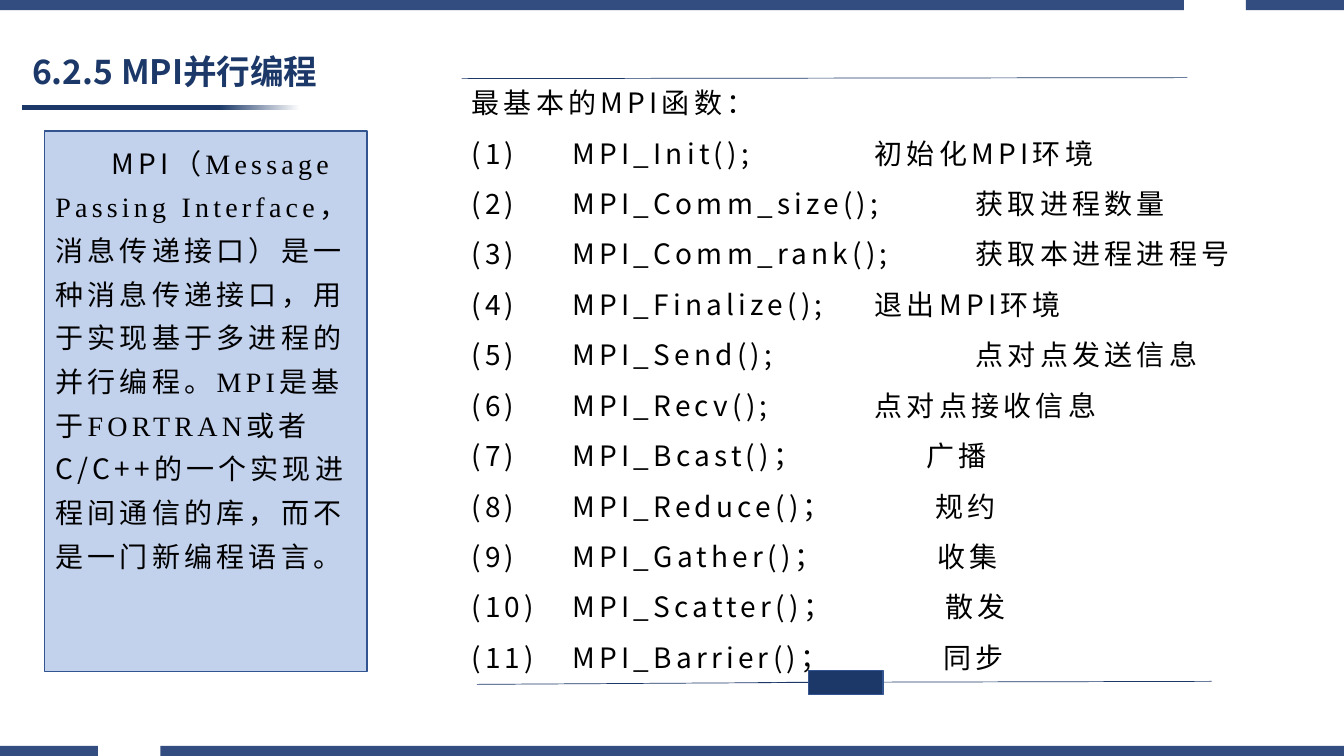
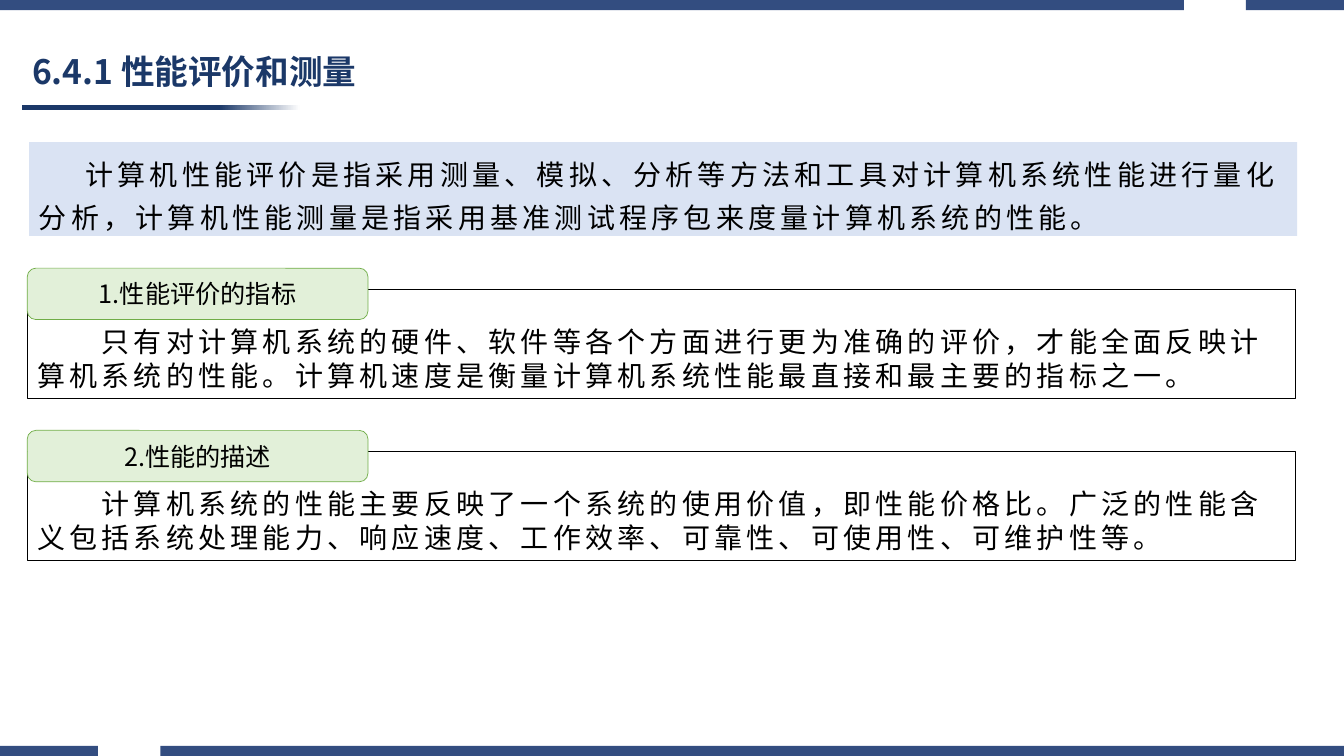
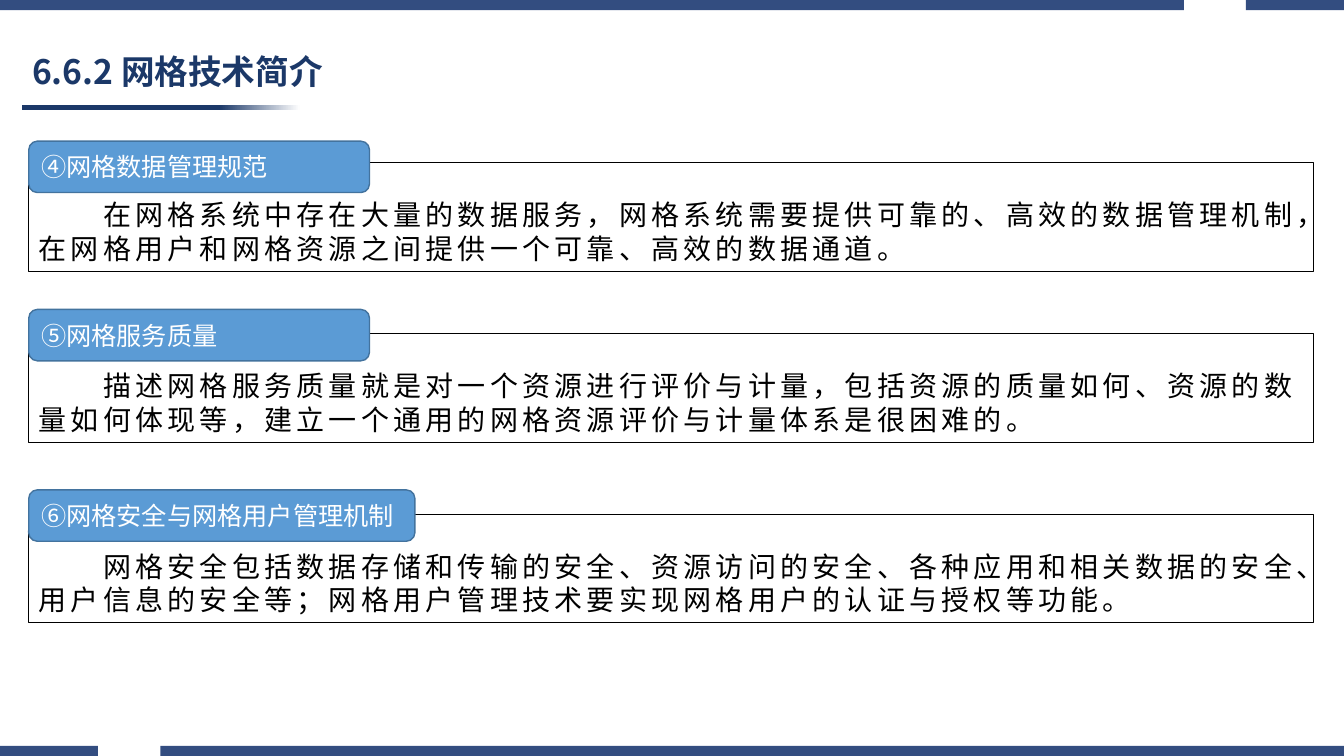
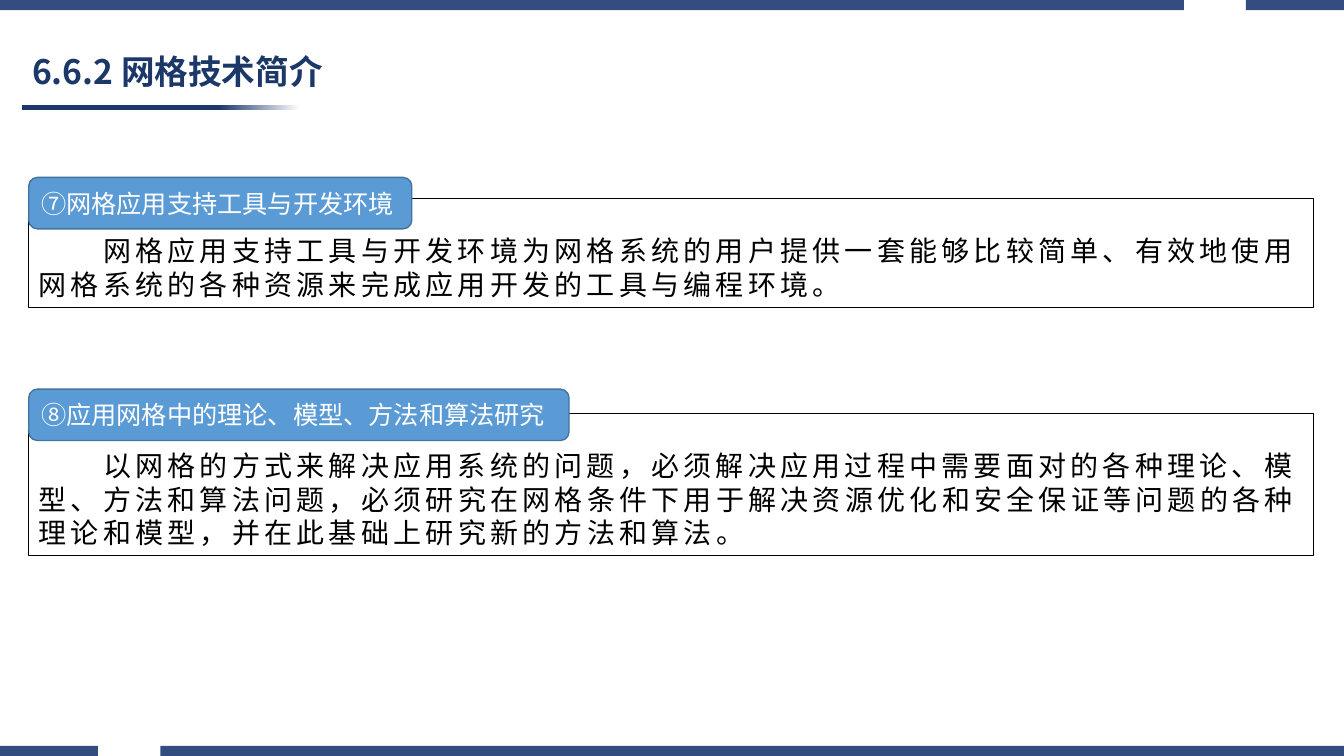
from lxml import etree
from pptx import Presentation
from pptx import util as u
from pptx.dml.color import RGBColor
from pptx.enum import shapes, text
from pptx.oxml import ns

W, H = u.Inches(13.333), u.Inches(7.5)
SANS, SERIF = "Noto Sans CJK SC", "Times New Roman"
C = {"navy": "1B3868", "band": "334D80", "edge": "325491", "panel": "4472C4",
     "pale": "DAE3F3", "green": "E2F0D9", "green_edge": "70AD47",
     "blue": "5B9BD5", "blue_edge": "43739E", "black": "000000", "white": "FFFFFF"}
GREEN_TAB = ("green", "green_edge", 0.5, "black", text.PP_ALIGN.CENTER)
BLUE_TAB = ("blue", "blue_edge", 1, "white", text.PP_ALIGN.LEFT)
TAB_H = 6.8
RECT, ROUND = shapes.MSO_SHAPE.RECTANGLE, shapes.MSO_SHAPE.ROUNDED_RECTANGLE


def rgb(name):
    return RGBColor.from_string(C[name])


def across(pct):
    return u.Emu(round(W * pct / 100))


def down(pct):
    return u.Emu(round(H * pct / 100))


def place(box):
    """Turn left, top, width, height in percent of the slide into EMU."""
    x, y, w, h = box
    return across(x), down(y), across(w), down(h)


def sub(parent, tag, **attrs):
    return etree.SubElement(parent, ns.qn(tag), attrs)


def paint(sp, fill=None, line=None, width=1.0, alpha=None):
    sp.shadow.inherit = False
    if fill:
        sp.fill.solid()
        sp.fill.fore_color.rgb = rgb(fill)
        if alpha:
            clr = sp.fill._xPr.find(".//" + ns.qn("a:srgbClr"))
            sub(clr, "a:alpha", val=str(alpha * 1000))
    else:
        sp.fill.background()
    if line:
        sp.line.color.rgb = rgb(line)
        sp.line.width = u.Pt(width)
    else:
        sp.line.fill.background()


def add_box(s, box, kind=RECT, **style):
    sp = s.shapes.add_shape(kind, *place(box))
    paint(sp, **style)
    return sp


def frame(sp, anchor=text.MSO_ANCHOR.TOP):
    tf = sp.text_frame
    tf.word_wrap = True
    tf.vertical_anchor = anchor
    return tf


def set_font(font, size, color, bold=False, spc=0, face=SANS):
    font.size, font.bold, font.name = u.Pt(size), bold, face
    font.color.rgb = rgb(color)
    rPr = font._element
    if spc:
        rPr.set("spc", str(spc * 100))
    latin = rPr.find(ns.qn("a:latin"))
    latin.addnext(latin.makeelement(ns.qn("a:ea"), {"typeface": SANS}))


def write(p, words, size, color="black", bold=False, spc=0, indent=0, stops=(),
          align=text.PP_ALIGN.LEFT):
    """Fill a paragraph; indent and tab stops are in inches."""
    p.alignment = align
    pPr = p._p.get_or_add_pPr()
    if indent:
        pPr.set("indent", str(u.Inches(indent)))
    if stops:
        tabs = sub(pPr, "a:tabLst")
        for stop in stops:
            sub(tabs, "a:tab", pos=str(u.Inches(stop)), algn="l")
    set_font(p.font, size, color, bold, spc)
    p.add_run().text = words


def add_line(s, x1, y1, x2, y2):
    ln = s.shapes.add_connector(shapes.MSO_CONNECTOR.STRAIGHT,
                                across(x1), down(y1), across(x2), down(y2))
    ln.line.color.rgb = rgb("navy")
    ln.line.width = u.Pt(0.5)
    sub(ln._element.spPr, "a:effectLst")


def add_band(s, top, gap_from, gap_to):
    """Thin full-width strip with one gap, as a single outline."""
    y1, y2 = down(top), down(top + 1.33)
    builder = None
    for x1, x2 in ((0, gap_from), (gap_to, 100)):
        x1, x2 = across(x1), across(x2)
        if builder is None:
            builder = s.shapes.build_freeform(x1, y1)
        else:
            builder.move_to(x1, y1)
        builder.add_line_segments([(x2, y1), (x2, y2), (x1, y2)], close=True)
    paint(builder.convert_to_shape(), "band")


def add_slide(prs, title):
    s = prs.slides.add_slide(prs.slide_layouts[6])
    rule = add_box(s, (1.61, 13.93, 20.7, 0.67), fill="navy")
    rule.fill.gradient()
    rule.fill.gradient_angle = 0
    for stop, (pos, name) in zip(rule.fill.gradient_stops, ((0.71, "navy"), (1, "white"))):
        stop.position = pos
        stop.color.rgb = rgb(name)
    add_band(s, 98.67, 7.28, 11.93)
    add_band(s, 0, 88.1, 92.7)
    tf = frame(s.shapes.add_textbox(*place((1.65, 6, 37.28, 7.47))), text.MSO_ANCHOR.MIDDLE)
    tf.paragraphs[0].line_spacing = 0.9
    write(tf.paragraphs[0], title, 24, "navy", bold=True)
    return s


def add_section(s, x, y, w, h, tab_w, tab_rise, label, words, style):
    """Outlined paragraph with a rounded heading over its top left corner."""
    fill, edge, width, color, align = style
    tf = frame(add_box(s, (x, y, w, h), line="black", width=0.75))
    tf.margin_top = u.Inches(0.35)
    write(tf.paragraphs[0], words, 20, spc=3, indent=0.64)
    tab = add_box(s, (x, y - tab_rise, tab_w, TAB_H), ROUND, fill=fill, line=edge, width=width)
    write(frame(tab, text.MSO_ANCHOR.MIDDLE).paragraphs[0], label, 18, color, align=align)


def add_intro(s):
    add_box(s, (3.3, 17.33, 24, 71.47), fill="panel", line="edge", alpha=32)
    p = frame(s.shapes.add_textbox(*place((3.38, 17.33, 23.92, 59.73)))).paragraphs[0]
    p.line_spacing = 1.3
    p._p.get_or_add_pPr().set("indent", str(u.Inches(0.56)))
    for words, face in (
            ("MPI（", SANS), ("Message Passing Interface", SERIF),
            ("，消息传递接口）是一种消息传递接口，用于实现基于多进程的并行编程。", SANS),
            ("MPI", SERIF), ("是基于", SANS), ("FORTRAN", SERIF),
            ("或者C/C++的一个实现进程间通信的库，而不是一门新编程语言。", SANS)):
        r = p.add_run()
        r.text = words
        set_font(r.font, 20, "black", spc=3, face=face)


def add_functions(s):
    calls = (("MPI_Init();", "初始化MPI环境", 4), ("MPI_Comm_size();", "获取进程数量", 5),
             ("MPI_Comm_rank();", "获取本进程进程号", 5), ("MPI_Finalize();", "退出MPI环境", 4),
             ("MPI_Send();", "点对点发送信息", 5), ("MPI_Recv();", "点对点接收信息", 4),
             ("MPI_Bcast()；", "广播", 4.51), ("MPI_Reduce()；", "规约", 4.6),
             ("MPI_Gather()；", "收集", 4.62), ("MPI_Scatter()；", "散发", 4.7),
             ("MPI_Barrier()；", "同步", 4.68))
    tf = frame(s.shapes.add_textbox(*place((34.35, 9.33, 61.2, 81.2))))
    head = tf.paragraphs[0]
    head.line_spacing, head.space_after = 1.3, u.Pt(6)
    write(head, "最基本的MPI函数：", 20, spc=3)
    for n, (call, meaning, stop) in enumerate(calls, 1):
        p = tf.add_paragraph()
        p.space_before = p.space_after = u.Pt(6)
        write(p, f"({n})\t{call}\t{meaning}", 20, spc=3, stops=(1, stop))


def mpi_slide(prs):
    s = add_slide(prs, "6.2.5 MPI并行编程")
    add_intro(s)
    add_functions(s)
    add_line(s, 60.15, 90.27, 35.48, 90.53)
    add_line(s, 90.15, 90.13, 56.4, 90.27)
    add_box(s, (60.15, 88.67, 5.55, 3.2), fill="navy", line="edge")
    add_line(s, 88.35, 10.27, 34.35, 10.4)


def performance_slide(prs):
    s = add_slide(prs, "6.4.1 性能评价和测量")
    p = frame(add_box(s, (2.16, 18.8, 94.35, 12.4), fill="pale")).paragraphs[0]
    p.line_spacing = 1.3
    write(p, "计算机性能评价是指采用测量、模拟、分析等方法和工具对计算机系统性能进行量化分析，"
             "计算机性能测量是指采用基准测试程序包来度量计算机系统的性能。", 20, spc=3, indent=0.46)
    for y, label, words in (
            (38.27, "1.性能评价的指标",
             "只有对计算机系统的硬件、软件等各个方面进行更为准确的评价，才能全面反映计算机系统的性能。"
             "计算机速度是衡量计算机系统性能最直接和最主要的指标之一。"),
            (59.73, "2.性能的描述",
             "计算机系统的性能主要反映了一个系统的使用价值，即性能价格比。"
             "广泛的性能含义包括系统处理能力、响应速度、工作效率、可靠性、可使用性、可维护性等。")):
        add_section(s, 2.03, y, 94.35, 14.4, 25.35, 2.8, label, words, GREEN_TAB)


def grid_slide(prs, sections):
    s = add_slide(prs, "6.6.2 网格技术简介")
    for y, h, tab_w, rise, label, words in sections:
        add_section(s, 2.14, y, 95.63, h, tab_w, rise, label, words, BLUE_TAB)


def main():
    prs = Presentation()
    prs.slide_width, prs.slide_height = W, H
    mpi_slide(prs)
    performance_slide(prs)
    grid_slide(prs, (
        (21.47, 14.4, 25.35, 2.8, "④网格数据管理规范",
         "在网格系统中存在大量的数据服务，网格系统需要提供可靠的、高效的数据管理机制，"
         "在网格用户和网格资源之间提供一个可靠、高效的数据通道。"),
        (44.13, 14.4, 25.35, 3.2, "⑤网格服务质量",
         "描述网格服务质量就是对一个资源进行评价与计量，包括资源的质量如何、资源的数量如何体现等，"
         "建立一个通用的网格资源评价与计量体系是很困难的。"),
        (68, 14.4, 28.73, 3.2, "⑥网格安全与网格用户管理机制",
         "网格安全包括数据存储和传输的安全、资源访问的安全、各种应用和相关数据的安全、"
         "用户信息的安全等；网格用户管理技术要实现网格用户的认证与授权等功能。")))
    grid_slide(prs, (
        (26.27, 14.4, 28.5, 2.8, "⑦网格应用支持工具与开发环境",
         "网格应用支持工具与开发环境为网格系统的用户提供一套能够比较简单、有效地使用"
         "网格系统的各种资源来完成应用开发的工具与编程环境。"),
        (54.67, 18.8, 40.2, 3.2, "⑧应用网格中的理论、模型、方法和算法研究",
         "以网格的方式来解决应用系统的问题，必须解决应用过程中需要面对的各种理论、模型、方法和算法问题，"
         "必须研究在网格条件下用于解决资源优化和安全保证等问题的各种理论和模型，"
         "并在此基础上研究新的方法和算法。")))
    prs.save("out.pptx")


if __name__ == "__main__":
    main()
